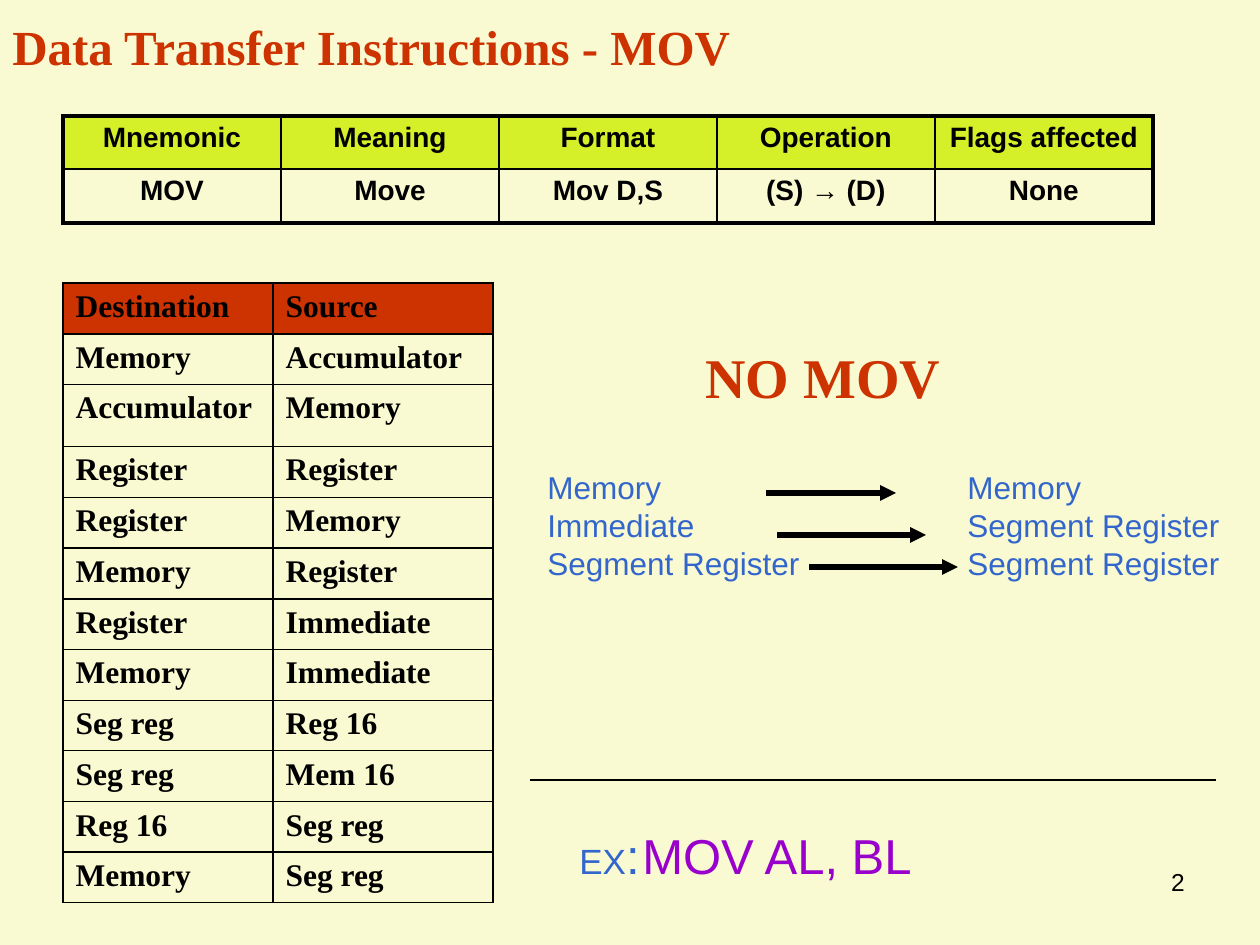
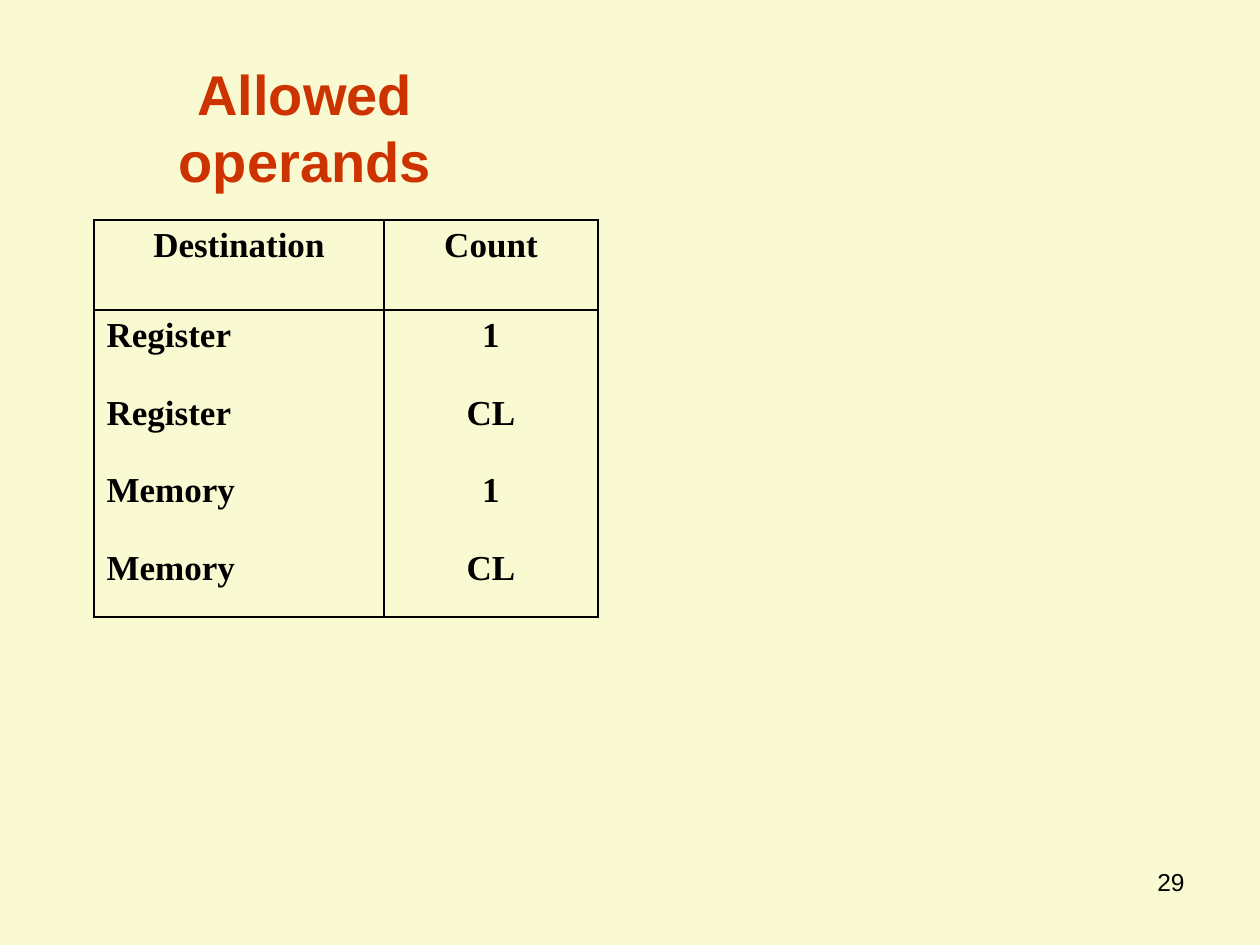
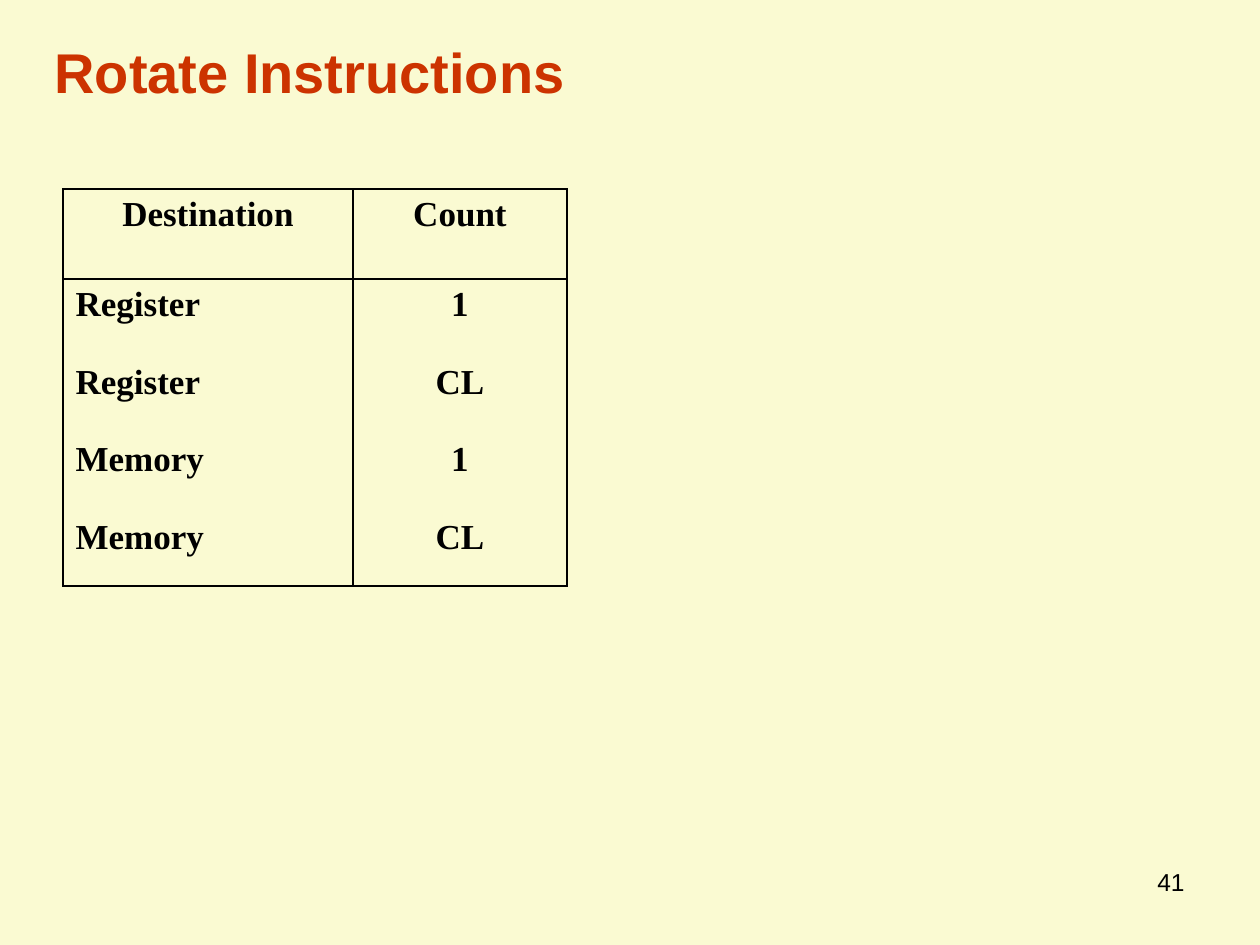
from lxml import etree
from pptx import Presentation
from pptx.dml.color import RGBColor
from pptx.enum.shapes import MSO_CONNECTOR
from pptx.enum.text import MSO_ANCHOR, PP_ALIGN
from pptx.oxml.ns import qn
from pptx.util import Emu, Pt

LEFT, CENTER, RIGHT = PP_ALIGN.LEFT, PP_ALIGN.CENTER, PP_ALIGN.RIGHT
TOP, MIDDLE = MSO_ANCHOR.TOP, MSO_ANCHOR.MIDDLE
STRAIGHT = MSO_CONNECTOR.STRAIGHT

PX = 914400 / 126
SANS, SERIF = "Arial", "Times New Roman"
COLORS = {"paper": "FAFAD2", "ink": "000000", "accent": "CC3300",
          "lime": "D5EF29", "blue": "3366CC", "purple": "9900CC"}

BODY = {"name": SANS, "size": Pt(18), "color": "blue"}
HEADING = {"name": SANS, "size": Pt(32), "bold": True, "color": "accent"}
SERIF_HEADING = {**HEADING, "name": SERIF}
NUMBER = {"name": SANS, "size": Pt(14), "color": "ink"}
SUMMARY_CELL = {"name": SANS, "size": Pt(16), "bold": True, "color": "ink"}
MOVE_CELL = {**SUMMARY_CELL, "name": SERIF, "size": Pt(18)}
COUNT_CELL = {**MOVE_CELL, "size": Pt(20)}

MOVES = [
    ("Destination", "Source"),
    ("Memory", "Accumulator"),
    ("Accumulator", "Memory"),
    ("Register", "Register"),
    ("Register", "Memory"),
    ("Memory", "Register"),
    ("Register", "Immediate"),
    ("Memory", "Immediate"),
    ("Seg reg", "Reg 16"),
    ("Seg reg", "Mem 16"),
    ("Reg 16", "Seg reg"),
    ("Memory", "Seg reg"),
]
SUMMARY = [
    ("Mnemonic", "Meaning", "Format", "Operation", "Flags affected"),
    ("MOV", "Move", "Mov D,S", "(S) → (D)", "None"),
]
COUNTS = [
    ("Destination", "Count"),
    ("Register\nRegister\nMemory\nMemory", "1\nCL\n1\nCL"),
]


def emu(px):
    return Emu(round(px * PX))


def rgb(name):
    return RGBColor.from_string(COLORS[name])


def set_font(font, style):
    for key, value in style.items():
        if key == "color":
            font.color.rgb = rgb(value)
        else:
            setattr(font, key, value)


def set_borders(cell, widths):
    """Draw the left, right, top and bottom borders, widths in points."""
    tcPr = cell._tc.get_or_add_tcPr()
    for side, width in zip("LRTB", widths):
        ln = etree.SubElement(tcPr, qn(f"a:ln{side}"), w=str(Pt(width)))
        fill = etree.SubElement(ln, qn("a:solidFill"))
        etree.SubElement(fill, qn("a:srgbClr"), val=COLORS["ink"])


class Deck:
    def __init__(self):
        self.prs = Presentation()
        self.prs.slide_width, self.prs.slide_height = emu(1260), emu(945)
        self.s = None

    def slide(self, number):
        self.s = self.prs.slides.add_slide(self.prs.slide_layouts[6])
        self.s.background.fill.solid()
        self.s.background.fill.fore_color.rgb = rgb("paper")
        self.text((903, 861, 294, 66), [str(number)], NUMBER, RIGHT)

    def text(self, box, lines, style, align=LEFT, anchor=TOP):
        """Each line is a string or a list of (text, style changes) runs."""
        tf = self.s.shapes.add_textbox(*map(emu, box)).text_frame
        tf.word_wrap, tf.vertical_anchor = True, anchor
        for i, line in enumerate(lines):
            p = tf.paragraphs[0] if i == 0 else tf.add_paragraph()
            p.alignment = align
            runs = [(line, {})] if isinstance(line, str) else line
            styles = [{**style, **changes} for _, changes in runs]
            p.line_spacing = Pt(1.2 * max(st["size"].pt for st in styles))
            for (words, _), run_style in zip(runs, styles):
                r = p.add_run()
                r.text = words
                set_font(r.font, run_style)

    def line(self, start, end, width, arrow=False):
        c = self.s.shapes.add_connector(STRAIGHT, *map(emu, start + end))
        c.line.color.rgb, c.line.width = rgb("ink"), Pt(width)
        if arrow:
            etree.SubElement(c.line._get_or_add_ln(), qn("a:tailEnd"), type="triangle")
        etree.SubElement(c._element.spPr, qn("a:effectLst"))

    def table(self, at, cols, heights, rows, style, head_fill,
              head_align=LEFT, aligns=None, outer=1, gap=0):
        """gap is the space in points between the paragraphs of a cell."""
        aligns = aligns or [LEFT] * len(cols)
        size = (sum(cols), sum(heights))
        frame = self.s.shapes.add_table(len(rows), len(cols), *map(emu, at + size))
        table = frame.table
        table.first_row = table.horz_banding = False
        for col, width in zip(table.columns, cols):
            col.width = emu(width)
        for row, height in zip(table.rows, heights):
            row.height = emu(height)
        for i, row in enumerate(rows):
            for j, words in enumerate(row):
                cell = table.cell(i, j)
                edges = (j == 0, j == len(cols) - 1, i == 0, i == len(rows) - 1)
                set_borders(cell, [outer if edge else 1 for edge in edges])
                if i == 0:
                    cell.fill.solid()
                    cell.fill.fore_color.rgb = rgb(head_fill)
                else:
                    cell.fill.background()
                cell.text = words
                for k, p in enumerate(cell.text_frame.paragraphs):
                    p.alignment = head_align if i == 0 else aligns[j]
                    if k:
                        p.space_before = Pt(gap)
                    for r in p.runs:
                        set_font(r.font, style)

    def count_table(self, at):
        self.table(at, [290, 214], [90, 307], COUNTS, COUNT_CELL, "paper",
                   CENTER, [LEFT, CENTER], gap=22.2)


def mov_slide(d):
    d.slide(2)
    d.table((63, 116), [218] * 5, [53, 54], SUMMARY, SUMMARY_CELL, "lime",
            CENTER, [CENTER] * 5, outer=2.25)
    d.text((0, 21, 1134, 49), ["Data Transfer Instructions - MOV"],
           {**SERIF_HEADING, "size": Pt(28)}, anchor=MIDDLE)
    d.table((63, 283), [210, 220], [51, 50, 62] + [51, 50] * 4 + [50],
            MOVES, MOVE_CELL, "accent")
    d.text((693, 336, 389, 79), ["NO MOV"], SERIF_HEADING)
    d.text((535, 462, 284, 126), ["Memory", "Immediate", "Segment Register"], BODY)
    d.text((955, 462, 278, 126),
           ["Memory", "Segment Register", "Segment Register"], BODY)
    for x1, x2, y in [(766, 896, 493), (777, 926, 535), (809, 958, 567)]:
        d.line((x1, y), (x2, y), 3, arrow=True)
    large = {"size": Pt(28)}
    d.text((567, 819, 517, 72),
           [[("EX", {"size": Pt(20)}), (":\t", large),
             ("MOV AL, BL", {**large, "color": "purple"})]], BODY)
    d.line((530, 780), (1216, 780), 0.75)


def operands_slide(d):
    d.slide(29)
    d.text((52, 53, 506, 79), ["Allowed operands"], HEADING, CENTER)
    d.count_table((94, 220))


def rotate_slide(d):
    d.slide(41)
    d.count_table((63, 189))
    d.text((42, 31, 664, 79), ["Rotate Instructions"], HEADING)


def main():
    d = Deck()
    for build in (mov_slide, operands_slide, rotate_slide):
        build(d)
    d.prs.save("out.pptx")


if __name__ == "__main__":
    main()
